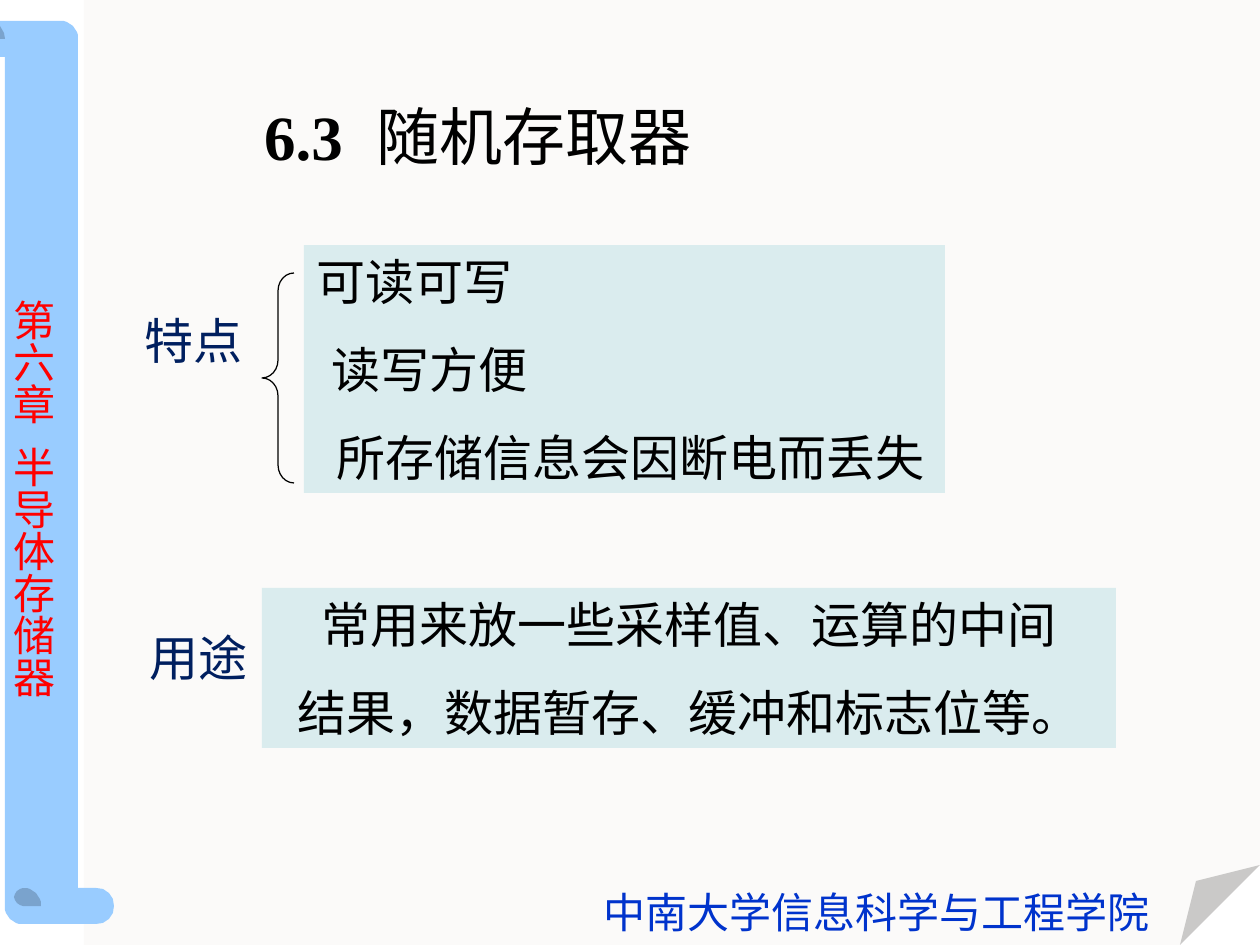
from math import cos, radians, sin

from pptx import Presentation
from pptx.dml.color import RGBColor
from pptx.enum.shapes import MSO_SHAPE as Preset
from pptx.enum.text import MSO_ANCHOR as Anchor, PP_ALIGN as Align
from pptx.oxml.ns import qn
from pptx.util import Emu, Pt

EMU_PER_PX = 914400 / 126
WIDTH, HEIGHT = 1260, 945
SANS, SERIF = "Noto Sans CJK SC", "Times New Roman"
COLORS = {
    "paper": "FBFAF9", "fold": "CAC9C8", "scroll": "99CCFF", "curl": "7AA3CD",
    "panel": "DAECEE", "black": "000000", "red": "FF0000",
    "navy": "001F5F", "blue": "0033CC",
}


def px(length):
    """Turn px into EMU."""
    return Emu(round(length * EMU_PER_PX))


def color(name):
    """Look up a colour by name."""
    return RGBColor.from_string(COLORS[name])


def arc(x, y, radius, start, end, steps=8):
    """List points along an arc, with angles clockwise from the right."""
    angles = [radians(start + (end - start) * i / steps) for i in range(steps + 1)]
    return [(x + radius * cos(a), y + radius * sin(a)) for a in angles]


def add_outline(page, points, fill):
    """Draw a filled closed outline."""
    builder = page.shapes.build_freeform(*points[0], scale=EMU_PER_PX)
    builder.add_line_segments(points[1:], close=True)
    shape = builder.convert_to_shape()
    shape.shadow.inherit = False
    shape.fill.solid()
    shape.fill.fore_color.rgb = color(fill)
    shape.line.fill.background()


def add_text(page, box, lines, size=28, ink="black", leading=33.5, gap=0,
             top=0, indents=(3,), align=Align.LEFT, fill=None):
    """Write lines of (text, font, bold, letter spacing in points) spans in a box."""
    shape = page.shapes.add_textbox(*map(px, box))
    if fill:
        shape.fill.solid()
        shape.fill.fore_color.rgb = color(fill)
    frame = shape.text_frame
    frame.word_wrap = True
    frame.vertical_anchor = Anchor.TOP
    frame.margin_left = frame.margin_right = frame.margin_bottom = 0
    frame.margin_top = px(top)
    for i, spans in enumerate(lines):
        para = frame.add_paragraph() if i else frame.paragraphs[0]
        para.alignment = align
        para.line_spacing = Pt(leading)
        para.space_before = Pt(gap if i else 0)
        properties = para._p.get_or_add_pPr()
        properties.set("marL", str(px(indents[i % len(indents)])))
        properties.set("indent", "0")
        for text, font, bold, spacing in spans:
            span = para.add_run()
            span.text = text
            span.font.size, span.font.bold, span.font.name = Pt(size), bold, font
            span.font.color.rgb = color(ink)
            run_format = span._r.get_or_add_rPr()
            run_format.set("spc", str(spacing * 100))
            run_format.append(run_format.makeelement(qn("a:ea"), {"typeface": font}))


def plain(*texts):
    """Make lines of one regular span each."""
    return [[(text, SANS, False, 0)] for text in texts]


def add_paper(page, left, top, right, bottom):
    """Draw the sheet with its folded corner."""
    fold = [(right, bottom - 80), (right - 64, bottom - 64), (right - 80, bottom)]
    add_outline(page, [(left, top), (right, top), fold[0], fold[2], (left, bottom)], "paper")
    add_outline(page, fold, "fold")


def add_scroll(page, left, top, right, bottom, radius=18):
    """Draw the scroll that runs down the page edge, with the chapter name."""
    low, inner = bottom - radius, left + radius
    add_outline(page, [
        (0, top), *arc(right - radius, top + radius, radius, -90, 0),
        (right, low - radius), *arc(right + radius, low, radius, -90, 90),
        *arc(inner, low, radius, 90, 180), (left, top + 2 * radius), (0, top + 2 * radius),
    ], "scroll")
    add_outline(page, arc(inner, low, radius, -90, 0)
                + arc(inner, low - radius / 2, radius / 2, 90, 270), "curl")
    add_outline(page, [(0, top + 5), (left - 1, top + 12), (left, top + radius),
                       (0, top + radius)], "curl")
    add_text(page, (left + 8, top + 271, 45, 411), plain("第 六 章", "半导体存储器"),
             size=24, ink="red", leading=24, gap=12, top=11, indents=(1,))


def add_title(page, left, top):
    """Write the section number and title."""
    add_text(page, (left, top, 450, 79),
             [[("6.3", SERIF, True, 0), (" ", SERIF, True, 10),
               ("随机存取器", SANS, False, 0)]],
             size=36, leading=43.5, top=1, indents=(2,))


def add_label(page, left, top, text):
    """Write the name of a section."""
    add_text(page, (left, top, 106, 62), plain(text), ink="navy", top=2)


def add_panel(page, box, texts, **layout):
    """Write the lines of a section on a tinted panel."""
    add_text(page, box, plain(*texts), gap=16.8, top=7, fill="panel", **layout)


def add_features(page, left, top):
    """Place the features with their label and brace."""
    add_label(page, left, top + 64, "特点")
    brace = page.shapes.add_shape(
        Preset.LEFT_BRACE, *map(px, (left + 120, top + 28, 32, 210)))
    brace.shadow.inherit = False
    brace.adjustments[0], brace.adjustments[1] = 0.56, 0.5
    brace.fill.background()
    brace.line.color.rgb = color("black")
    brace.line.width = Pt(0.72)
    add_panel(page, (left + 162, top, 641, 248),
              ("可读可写", "读写方便", "所存储信息会因断电而丢失"), indents=(13, 28, 33))


def add_uses(page, left, top):
    """Place the uses with their label."""
    add_label(page, left + 5, top + 38, "用途")
    add_panel(page, (left + 120, top, 854, 160),
              ("常用来放一些采样值、运算的中间", "结果，数据暂存、缓冲和标志位等。"),
              indents=(0,), align=Align.CENTER)


def add_footer(page, left, top):
    """Write the name of the school."""
    add_text(page, (left, top, 554, 46), plain("中南大学信息科学与工程学院"),
             size=24, ink="blue", leading=26)


def main():
    """Build and save the deck."""
    deck = Presentation()
    deck.slide_width, deck.slide_height = px(WIDTH), px(HEIGHT)
    page = deck.slides.add_slide(deck.slide_layouts[6])
    add_paper(page, 84, 0, WIDTH, HEIGHT)
    add_scroll(page, 5, 21, 78, 924)
    add_title(page, 262, 96)
    add_features(page, 142, 245)
    add_uses(page, 142, 588)
    add_footer(page, 601, 891)
    deck.save("out.pptx")


if __name__ == "__main__":
    main()
